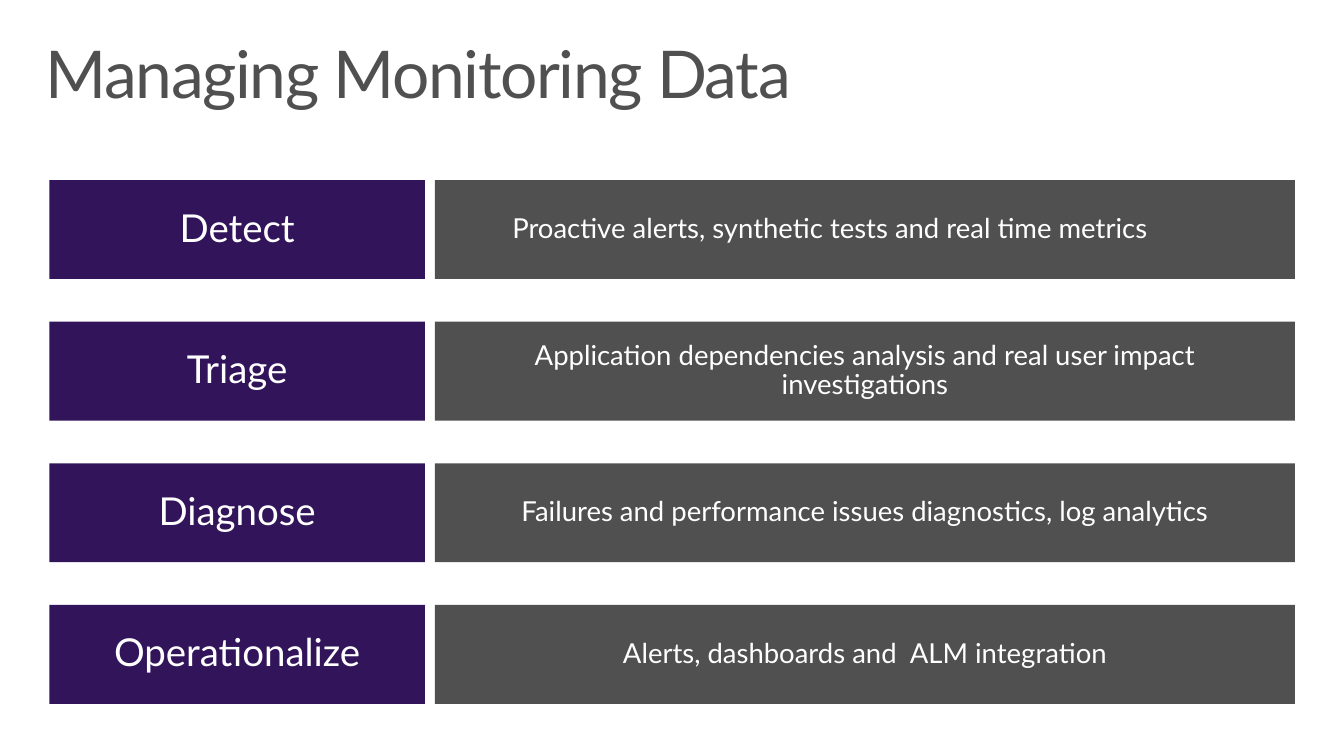
"""Build the slide "Managing Monitoring Data" with its four labelled stages."""
from dataclasses import dataclass

from pptx import Presentation
from pptx.dml.color import RGBColor
from pptx.enum.shapes import MSO_SHAPE
from pptx.enum.text import MSO_ANCHOR, PP_ALIGN
from pptx.slide import Slide
from pptx.text.text import TextFrame, _Paragraph
from pptx.util import Cm, Pt

COLORS = {"purple": "32145A", "gray": "505050", "white": "FFFFFF"}
FONT = "Lato"
FIRST_TOP, ROW_PITCH, BAR_HEIGHT = 4.63, 3.64, 2.54
SIDE_INSET, BAR_INSET, TITLE_SIDE, TITLE_INSET = 0.51, 0.41, 0.41, 0.25


@dataclass(frozen=True)
class Column:
    left: float
    width: float
    color: str
    size: int


@dataclass(frozen=True)
class Stage:
    name: str
    detail: str
    extra_right: float = 0


NAME_COLUMN = Column(1.27, 9.65, "purple", 28)
DETAIL_COLUMN = Column(11.18, 22.1, "gray", 20)
STAGES = [
    Stage("Detect", "Proactive alerts, synthetic tests and real time metrics", 1.8),
    Stage("Triage", "Application dependencies analysis and real user impact investigations"),
    Stage("Diagnose", "Failures and performance issues diagnostics, log analytics"),
    Stage("Operationalize", "Alerts, dashboards and  ALM integration"),
]


def write_text(frame: TextFrame, text: str, size: int, color: str,
               side: float, vertical: float) -> _Paragraph:
    frame.word_wrap = True
    frame.margin_left = frame.margin_right = Cm(side)
    frame.margin_top = frame.margin_bottom = Cm(vertical)
    para = frame.paragraphs[0]
    para.text = text
    para.line_spacing = 0.9
    para.font.name = FONT
    para.font.size = Pt(size)
    para.font.color.rgb = RGBColor.from_string(COLORS[color])
    return para


def add_title(page: Slide, text: str) -> None:
    box = page.shapes.add_textbox(Cm(0.76), Cm(0.81), Cm(33.02), Cm(2.54))
    para = write_text(box.text_frame, text, 48, "gray", TITLE_SIDE, TITLE_INSET)
    for span in para.runs:
        span._r.get_or_add_rPr().set("spc", "-100")


def add_bar(page: Slide, column: Column, top: float, text: str,
            extra_right: float = 0) -> None:
    bar = page.shapes.add_shape(MSO_SHAPE.RECTANGLE, Cm(column.left), Cm(top),
                                Cm(column.width), Cm(BAR_HEIGHT))
    bar.shadow.inherit = False
    bar.fill.solid()
    bar.fill.fore_color.rgb = RGBColor.from_string(COLORS[column.color])
    bar.line.fill.background()
    frame = bar.text_frame
    para = write_text(frame, text, column.size, "white", SIDE_INSET, BAR_INSET)
    para.alignment = PP_ALIGN.CENTER
    frame.vertical_anchor = MSO_ANCHOR.MIDDLE
    frame.margin_right = Cm(SIDE_INSET + extra_right)


def main() -> None:
    deck = Presentation()
    deck.slide_width, deck.slide_height = Cm(34.54), Cm(19.43)
    page = deck.slides.add_slide(deck.slide_layouts[6])
    add_title(page, "Managing Monitoring Data")
    for row, stage in enumerate(STAGES):
        top = FIRST_TOP + row * ROW_PITCH
        add_bar(page, NAME_COLUMN, top, stage.name)
        add_bar(page, DETAIL_COLUMN, top, stage.detail, stage.extra_right)
    deck.save("out.pptx")


if __name__ == "__main__":
    main()
